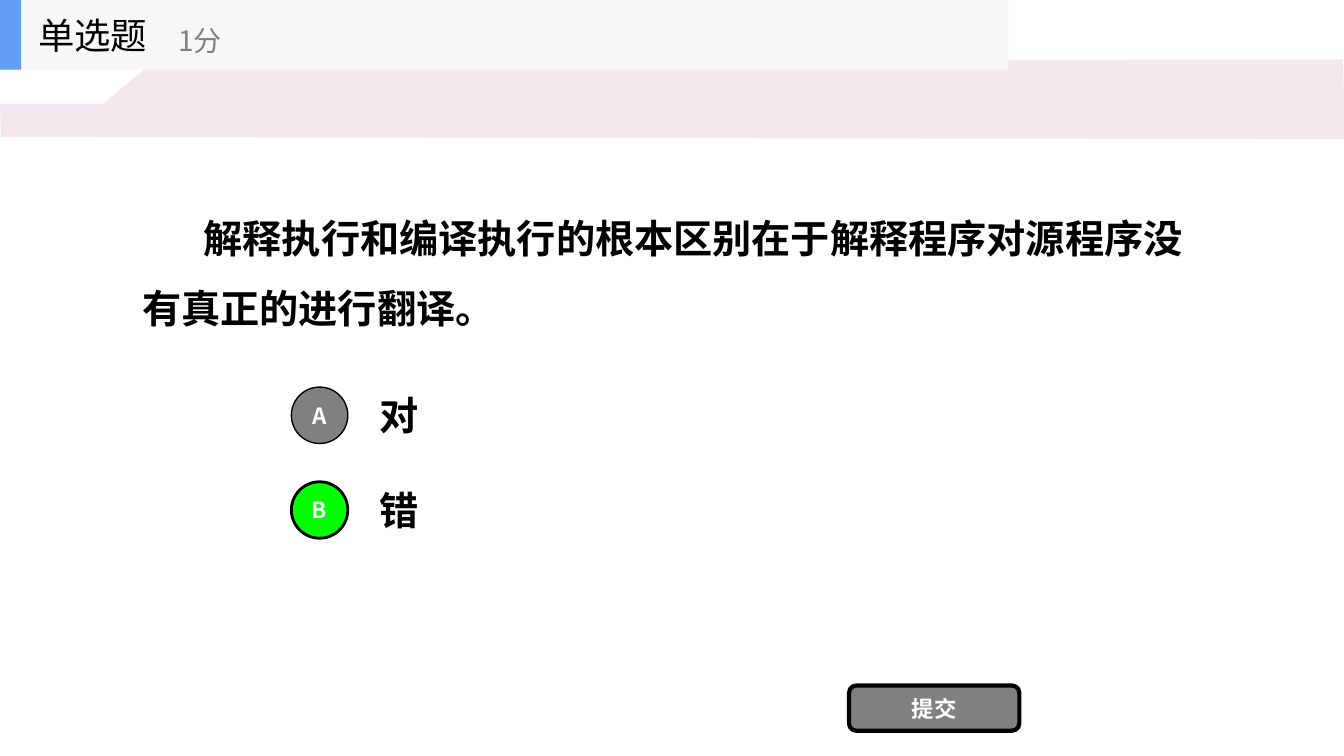
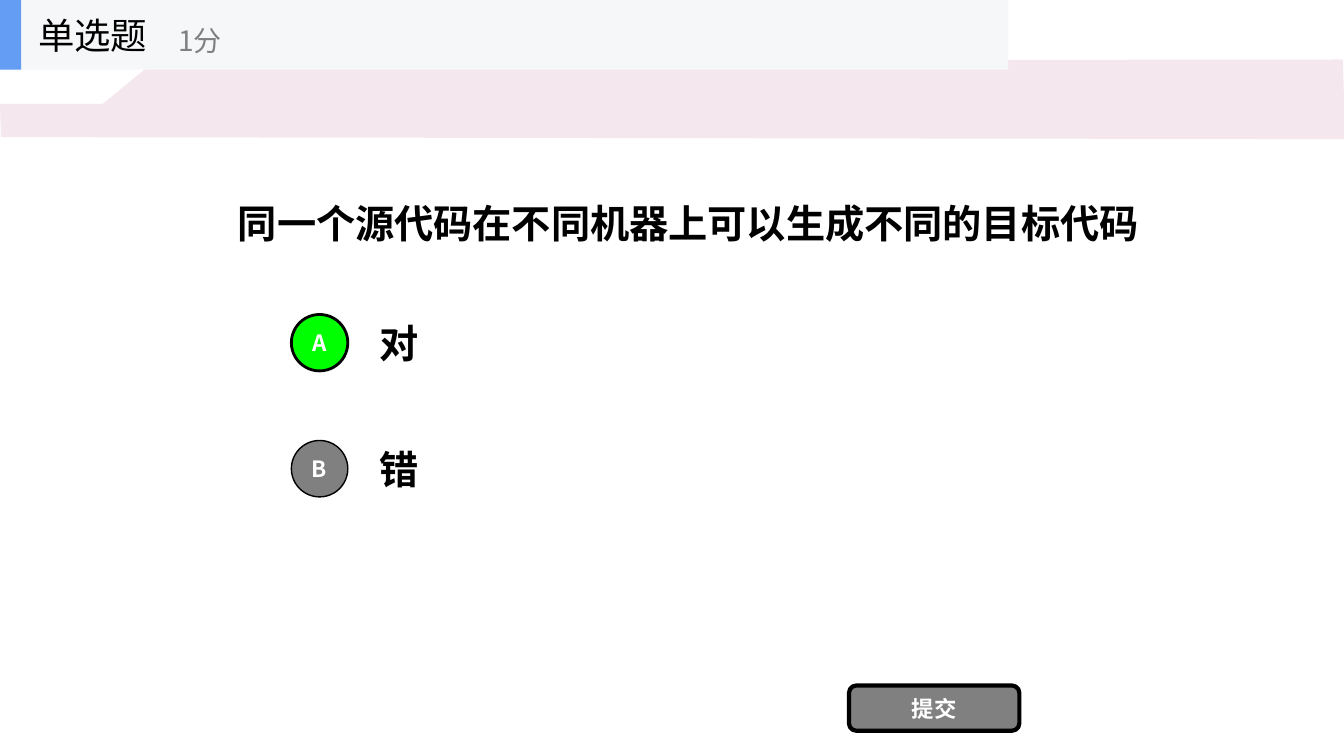
import pptx
import pptx.dml.color
import pptx.enum.shapes
import pptx.enum.text
import pptx.oxml
import pptx.oxml.ns
import pptx.util

PX = 9144
FONT = "Noto Sans CJK SC"
COLORS = {
    "ink": "000000",
    "paper": "FFFFFF",
    "grey": "808080",
    "correct": "00FF00",
    "band": "F4E7ED",
    "header": "F6F7F8",
    "accent": "639EF4",
}
BAND_POINTS = [(0, 103), (102, 103), (180, 39), (500, 39),
               (524, 60), (1332, 59), (1334, 138), (1, 136)]
SHAPES = pptx.enum.shapes.MSO_SHAPE
ALIGN = pptx.enum.text.PP_ALIGN

QUESTIONS = [
    {
        "text": "解释执行和编译执行的根本区别在于解释程序对源程序没有真正的进行翻译。",
        "box": (131, 142, 1071, 234),
        "indent": 61,
        "spacing": 1.5,
        "options_top": 377,
        "options_pitch": 94,
        "answer": "B",
    },
    {
        "text": "同一个源代码在不同机器上可以生成不同的目标代码",
        "box": (226, 162, 958, 118),
        "indent": 0,
        "spacing": 1.0,
        "options_top": 305,
        "options_pitch": 125,
        "answer": "A",
    },
]
OPTIONS = [("A", "对"), ("B", "错")]


def px(*lengths):
    return [pptx.util.Emu(length * PX) for length in lengths]


def rgb(color):
    return pptx.dml.color.RGBColor.from_string(COLORS[color])


def write(shape, text, size, color, bold=False, align=ALIGN.LEFT):
    frame = shape.text_frame
    frame.text = text
    frame.word_wrap = True
    frame.auto_size = pptx.enum.text.MSO_AUTO_SIZE.NONE
    frame.vertical_anchor = pptx.enum.text.MSO_ANCHOR.MIDDLE
    paragraph = frame.paragraphs[0]
    paragraph.alignment = align
    font = paragraph.runs[0].font
    font.size = pptx.util.Pt(size)
    font.bold = bold
    font.color.rgb = rgb(color)
    font.name = FONT
    east_asian = pptx.oxml.parse_xml(
        f'<a:ea {pptx.oxml.ns.nsdecls("a")} typeface="{FONT}"/>')
    paragraph.runs[0].font._element.append(east_asian)
    return paragraph


def paint(shape, fill, line_width=0):
    shape.shadow.inherit = False
    shape.fill.solid()
    shape.fill.fore_color.rgb = rgb(fill)
    if line_width:
        shape.line.color.rgb = rgb("ink")
        shape.line.width = pptx.util.Pt(line_width)
    else:
        shape.line.fill.background()


def add_label(shapes, box, text, size, color, bold=False):
    write(shapes.add_textbox(*px(*box)), text, size, color, bold)


def add_block(shapes, box, fill):
    paint(shapes.add_shape(SHAPES.RECTANGLE, *px(*box)), fill)


def add_button(shapes, kind, box, text, fill, line_width):
    button = shapes.add_shape(kind, *px(*box))
    paint(button, fill, line_width)
    frame = button.text_frame
    frame.margin_left = frame.margin_right = 0
    frame.margin_top = frame.margin_bottom = 0
    write(button, text, 16, "paper", True, ALIGN.CENTER)


def add_band_to_layout(slide):
    builder = slide.shapes.build_freeform(*BAND_POINTS[0], scale=PX)
    builder.add_line_segments(BAND_POINTS[1:], close=True)
    band = builder.convert_to_shape()
    paint(band, "band")
    slide.slide_layout.shapes.element.append(band.element)


def add_header(slide):
    header = slide.shapes.add_group_shape().shapes
    add_block(header, (0, 0, 1000, 69), "header")
    add_block(header, (0, 0, 21, 69), "accent")
    add_label(header, (28, 0, 208, 69), "单选题", 26, "ink")
    add_label(header, (167, 12, 250, 56), "1分", 20, "grey")


def set_question(slide, question):
    title = slide.shapes.title
    title.left, title.top, title.width, title.height = px(*question["box"])
    paragraph = write(title, question["text"], 28, "ink", True)
    paragraph.line_spacing = question["spacing"]
    if question["indent"]:
        paragraph._p.get_or_add_pPr().set("indent", str(question["indent"] * PX))


def add_options(slide, question):
    for row, (letter, text) in enumerate(OPTIONS):
        top = question["options_top"] + row * question["options_pitch"]
        add_label(slide.shapes, (367, top, 700, 70), text, 28, "ink", True)
        fill, line_width = ("correct", 2) if letter == question["answer"] else ("grey", 1)
        add_button(slide.shapes, SHAPES.OVAL, (289, top + 7, 56, 56),
                   letter, fill, line_width)


def main():
    deck = pptx.Presentation()
    deck.slide_width, deck.slide_height = px(1333, 750)
    layout = deck.slide_layouts[5]
    for number, question in enumerate(QUESTIONS):
        slide = deck.slides.add_slide(layout)
        if number == 0:
            add_band_to_layout(slide)
        set_question(slide, question)
        add_options(slide, question)
        add_button(slide.shapes, SHAPES.ROUNDED_RECTANGLE, (842, 680, 169, 45),
                   "提交", "grey", 3)
        add_header(slide)
    deck.save("out.pptx")


if __name__ == "__main__":
    main()
